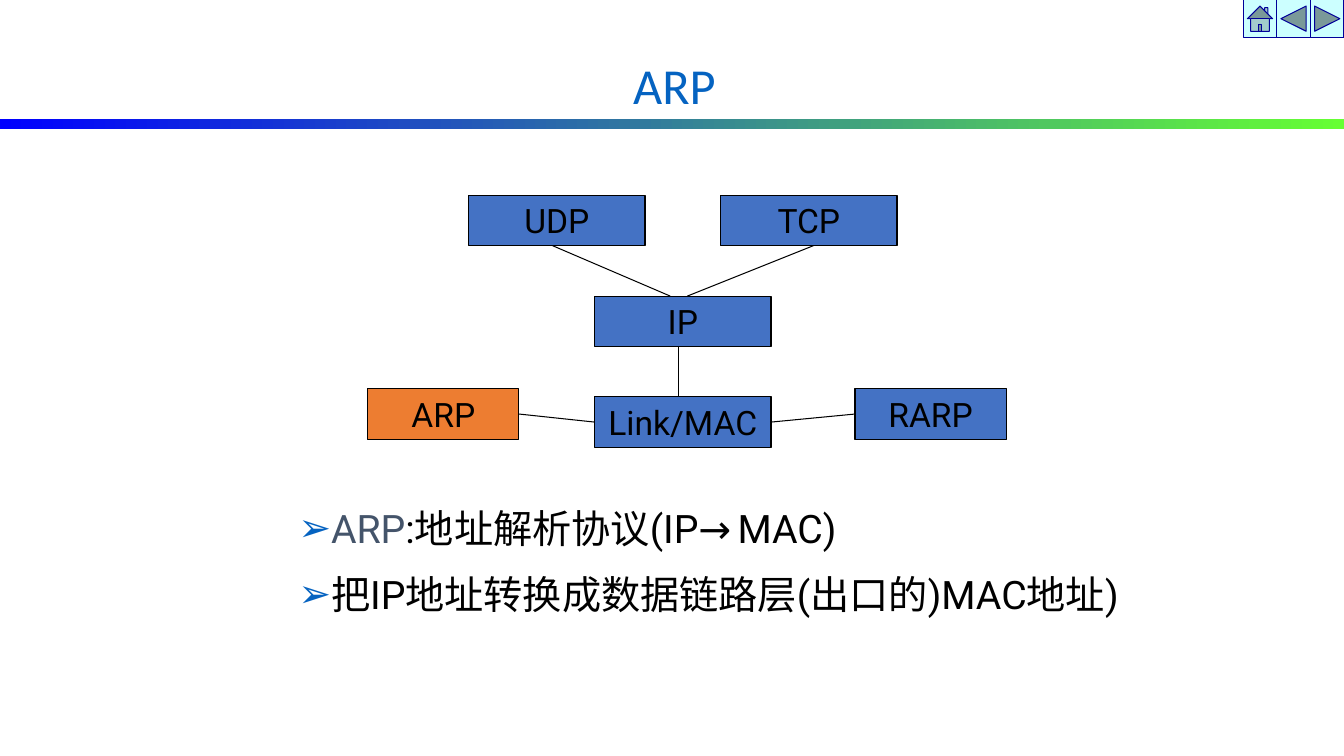
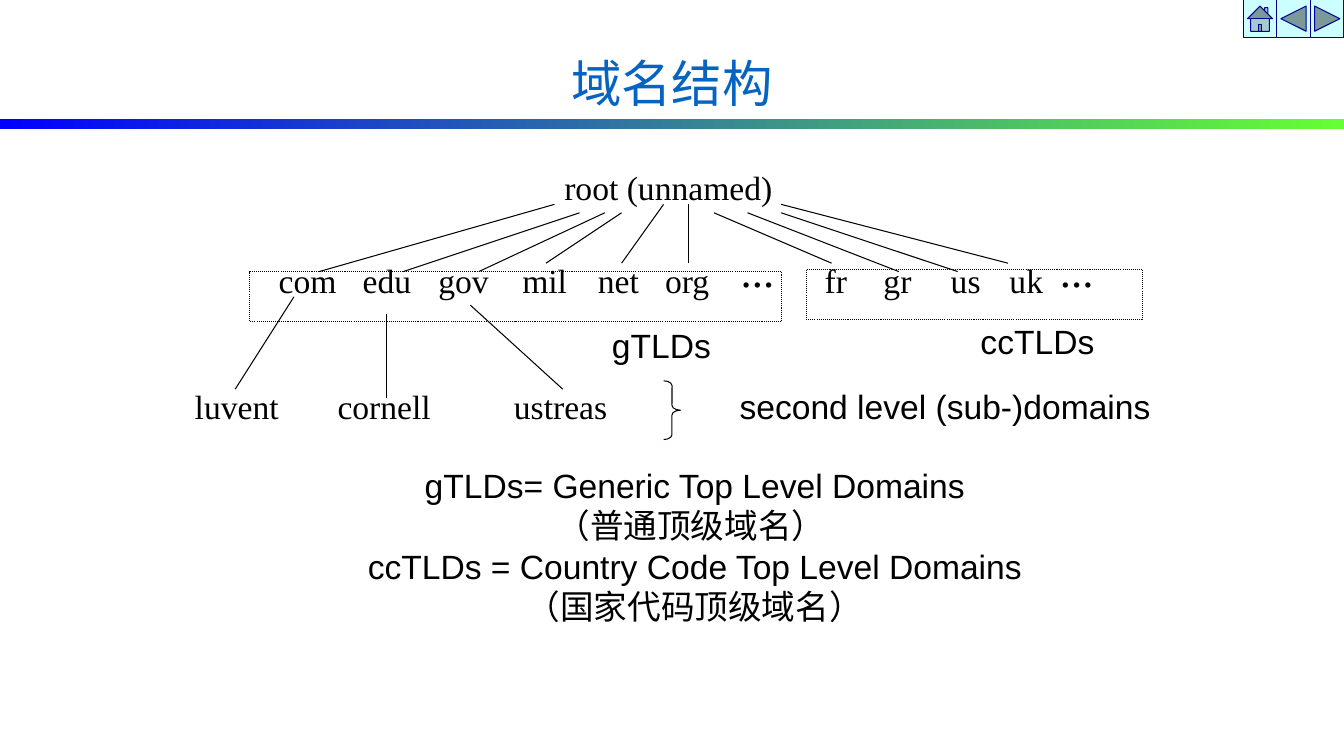
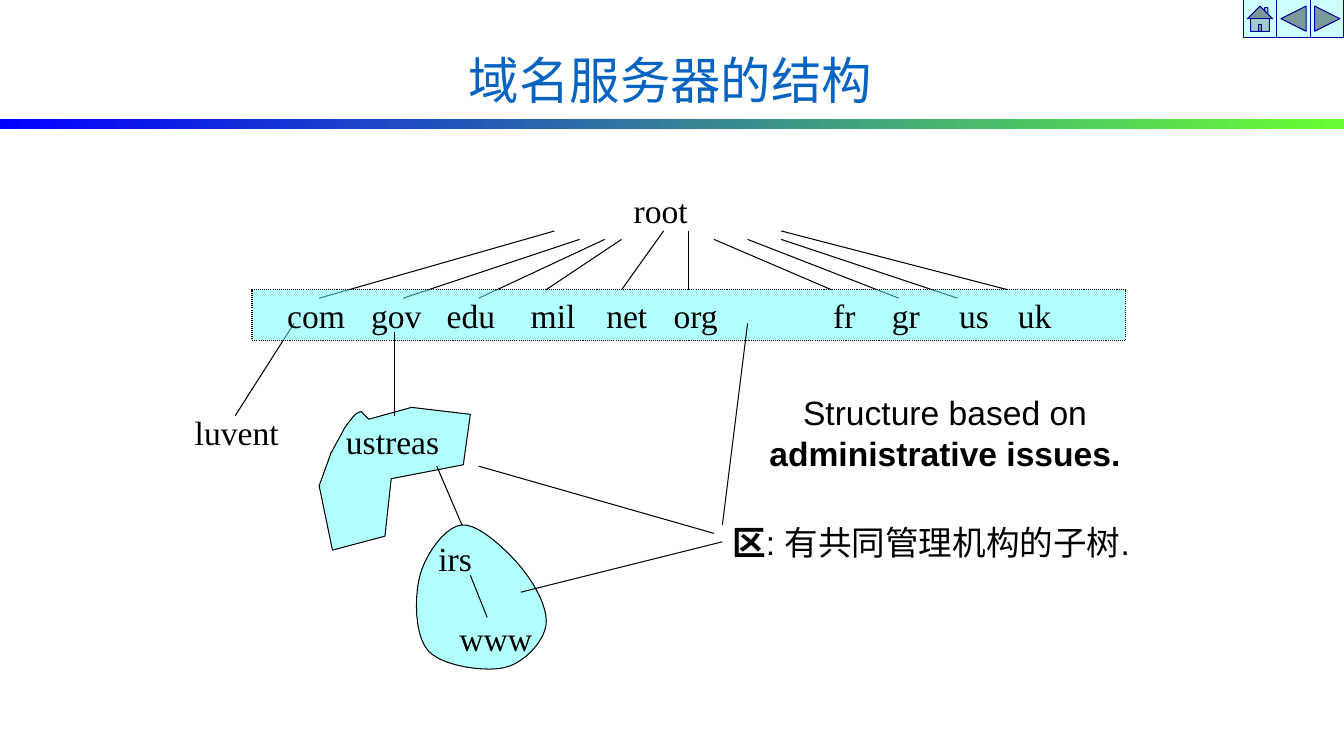
from dataclasses import dataclass
from typing import NamedTuple

from lxml import etree
from pptx import Presentation
from pptx import util as u
from pptx.dml.color import RGBColor
from pptx.enum import dml, shapes, text
from pptx.oxml.ns import qn

BLACK, BLUE, ORANGE, AQUA = "000000", "4472C4", "ED7D31", "66FFFF"
TITLE, SLATE = "0563C1", "44546A"
SERIF, SANS, ROBOTO = "Times New Roman", "Arial", "Roboto"
SHAPE, ALIGN, ANCHOR = shapes.MSO_SHAPE, text.PP_ALIGN, text.MSO_ANCHOR


class Run(NamedTuple):
    text: str
    color: str = BLACK
    bold: bool = False


class Line(NamedTuple):
    x1: float
    y1: float
    x2: float
    y2: float


@dataclass
class Box:
    x: float
    y: float
    w: float
    h: float = 36


@dataclass
class Style:
    font: str = SERIF
    size: float = 24
    align: ALIGN = ALIGN.LEFT
    anchor: ANCHOR = ANCHOR.TOP
    wrap: bool = False
    spacing: float = 1
    before: float = 0
    bullet: str = ""


LABEL = Style()
CAPTION = Style(SANS, align=ALIGN.CENTER, anchor=ANCHOR.MIDDLE)
NODE = Style(ROBOTO, align=ALIGN.CENTER, anchor=ANCHOR.MIDDLE)
HEADING = Style("Calibri", 36, ALIGN.CENTER, wrap=True, spacing=0.9)
BULLETS = Style(ROBOTO, 28, wrap=True, before=14, bullet="➢")
DOTS = Style(size=32)

TLD_WIDTHS = {"com": 59, "edu": 53, "gov": 54, "mil": 50, "net": 48,
              "org": 51, "fr": 34, "gr": 39, "us": 40, "uk": 42}
TLD_SLOTS = [0, 60, 114, 174, 228, 276, 390, 432, 480, 522]
RAYS = [Line(396, 0, 228, 48), Line(414, 6, 288, 48), Line(432, 6, 342, 48),
        Line(444, 6, 390, 42), Line(474, 0, 444, 42), Line(492, 0, 492, 42),
        Line(510, 6, 594, 42), Line(534, 6, 642, 48), Line(558, 6, 684, 48),
        Line(558, 0, 720, 42)]


def rgb(color: str) -> RGBColor:
    return RGBColor.from_string(color)


def paint(sp, fill: str = "", line: str = BLACK, alpha: int = 100, dotted: bool = False) -> None:
    sp.shadow.inherit = False
    if fill:
        sp.fill.solid()
        sp.fill.fore_color.rgb = rgb(fill)
        if alpha < 100:
            clr = sp.fill._xPr.find(".//" + qn("a:srgbClr"))
            etree.SubElement(clr, qn("a:alpha"), val=str(alpha * 1000))
    else:
        sp.fill.background()
    sp.line.color.rgb = rgb(line)
    sp.line.width = u.Pt(0.75)
    if dotted:
        sp.line.dash_style = dml.MSO_LINE.ROUND_DOT


def add_bullet(p, char: str) -> None:
    pPr = p._p.get_or_add_pPr()
    pPr.set("marL", str(u.Pt(23)))
    pPr.set("indent", str(-u.Pt(23)))
    clr = etree.SubElement(pPr, qn("a:buClr"))
    etree.SubElement(clr, qn("a:srgbClr"), val=TITLE)
    etree.SubElement(pPr, qn("a:buFont"), typeface=SANS)
    etree.SubElement(pPr, qn("a:buChar"), char=char)


def write(sp, paragraphs: list[list[Run]], style: Style) -> None:
    tf = sp.text_frame
    tf.word_wrap = style.wrap
    tf.vertical_anchor = style.anchor
    for i, runs in enumerate(paragraphs):
        p = tf.add_paragraph() if i else tf.paragraphs[0]
        if style.bullet:
            add_bullet(p, style.bullet)
        p.alignment = style.align
        p.line_spacing = style.spacing
        if i and style.before:
            p.space_before = u.Pt(style.before)
        for run in runs:
            r = p.add_run()
            r.text = run.text
            r.font.name = style.font
            r.font.size = u.Pt(style.size)
            r.font.bold = run.bold
            r.font.color.rgb = rgb(run.color)


def add_text(s, box: Box, paragraphs: list[list[Run]], style: Style = LABEL) -> None:
    sp = s.shapes.add_textbox(u.Pt(box.x), u.Pt(box.y), u.Pt(box.w), u.Pt(box.h))
    write(sp, paragraphs, style)


def add_label(s, box: Box, label: str, style: Style = LABEL) -> None:
    add_text(s, box, [[Run(label)]], style)


def add_shape(s, kind: SHAPE, box: Box):
    return s.shapes.add_shape(kind, u.Pt(box.x), u.Pt(box.y), u.Pt(box.w), u.Pt(box.h))


def add_lines(s, lines: list[Line], dy: float = 0) -> None:
    for ln in lines:
        c = s.shapes.add_connector(shapes.MSO_CONNECTOR.STRAIGHT, u.Pt(ln.x1), u.Pt(ln.y1 + dy),
                                   u.Pt(ln.x2), u.Pt(ln.y2 + dy))
        c.line.color.rgb = rgb(BLACK)
        c.line.width = u.Pt(0.75)
        etree.SubElement(c._element.spPr, qn("a:effectLst"))


def add_zone(s, start: tuple, segments: list[tuple]) -> None:
    points = [start]
    for seg in segments:
        if len(seg) == 2:
            points.append(seg)
            continue
        x0, y0 = points[-1]
        x1, y1, x2, y2, x3, y3 = seg
        for t in (k / 10 for k in range(1, 11)):
            a, b, c, d = (1 - t) ** 3, 3 * t * (1 - t) ** 2, 3 * t * t * (1 - t), t ** 3
            points.append((a * x0 + b * x1 + c * x2 + d * x3,
                           a * y0 + b * y1 + c * y2 + d * y3))
    pts = [(u.Pt(x), u.Pt(y)) for x, y in points]
    fb = s.shapes.build_freeform(*pts[0], scale=1.0)
    fb.add_line_segments(pts[1:], close=True)
    paint(fb.convert_to_shape(), AQUA, alpha=50)


def add_tlds(s, names: list[str], x: float, y: float) -> None:
    for name, slot in zip(names, TLD_SLOTS):
        add_label(s, Box(x + slot, y, TLD_WIDTHS[name]), name)


def new_slide(prs, title: str, x: float, y: float):
    s = prs.slides.add_slide(prs.slide_layouts[6])
    buttons = [SHAPE.ACTION_BUTTON_HOME, SHAPE.ACTION_BUTTON_BACK_OR_PREVIOUS,
               SHAPE.ACTION_BUTTON_FORWARD_OR_NEXT]
    for i, kind in enumerate(buttons):
        paint(add_shape(s, kind, Box(888 + 24 * i, 0, 24, 26.75)), "CCFFFF", "000099")
    band = add_shape(s, SHAPE.RECTANGLE, Box(0, 85, 960, 7))
    band.shadow.inherit = False
    band.line.fill.background()
    band.fill.gradient()
    band.fill.gradient_angle = 0
    for stop, color in zip(band.fill.gradient_stops, ("0000FF", "66FF33")):
        stop.color.rgb = rgb(color)
    add_text(s, Box(x, y, 612, 90), [[Run(title, TITLE)]], HEADING)
    return s


def arp_slide(prs) -> None:
    s = new_slide(prs, "ARP", 175.75, 40)
    nodes = [("Link/MAC", Box(424.75, 283.5, 126), BLUE), ("IP", Box(424.75, 211.5, 126), BLUE),
             ("TCP", Box(514.75, 139.5, 126), BLUE), ("UDP", Box(334.75, 139.5, 126), BLUE),
             ("ARP", Box(262.75, 277.75, 108), ORANGE), ("RARP", Box(610.75, 277.75, 108), BLUE)]
    for name, box, color in nodes:
        sp = add_shape(s, SHAPE.RECTANGLE, box)
        paint(sp, color)
        write(sp, [[Run(name)]], NODE)
    add_lines(s, [Line(394.75, 175.5, 478.75, 211.5), Line(581, 175.5, 491, 211.5),
                  Line(484.75, 247.5, 484.75, 283.5), Line(370.75, 295.75, 424.75, 301.5),
                  Line(550.75, 301.5, 610.75, 295.75)])
    add_text(s, Box(206, 356.5, 605, 92),
             [[Run("ARP", SLATE), Run(":地址解析协议(IP→MAC)")],
              [Run("把IP地址转换成数据链路层(出口的)MAC地址)")]], BULLETS)


def domain_slide(prs) -> None:
    s = new_slide(prs, "域名结构", 174, 38.5)
    add_label(s, Box(396, 116, 167), "root (unnamed)")
    add_lines(s, RAYS, 146)
    for box in (Box(178.5, 194, 379.5), Box(576, 192.25, 240)):
        paint(add_shape(s, SHAPE.RECTANGLE, box), dotted=True)
    add_tlds(s, ["com", "edu", "gov", "mil", "net", "org", "fr", "gr", "us", "uk"], 192, 182)
    for x in (522, 750):
        add_label(s, Box(x, 170, 46, 45), "...", DOTS)
    for name, x, w in (("luvent", 132, 80), ("cornell", 234, 85), ("ustreas", 360, 85)):
        add_label(s, Box(x, 272, w), name)
    add_lines(s, [Line(210, 212, 168, 278), Line(276, 224, 276, 284), Line(336, 218, 402, 278)])
    brace = add_shape(s, SHAPE.RIGHT_BRACE, Box(474, 272, 12, 42))
    brace.adjustments[0] = 0.29
    paint(brace)
    for caption, x, y, w in (("gTLDs", 397.5, 228.5, 150), ("ccTLDs", 666, 225.5, 150),
                             ("second level (sub-)domains", 515, 272, 320)):
        add_label(s, Box(x, y, w), caption, CAPTION)
    legend = ["gTLDs= Generic Top Level Domains", "（普通顶级域名） ",
              "ccTLDs = Country Code Top Level Domains", "（国家代码顶级域名）"]
    add_text(s, Box(190.25, 366.25, 612, 47), [[Run(row)] for row in legend], CAPTION)


def server_slide(prs) -> None:
    s = new_slide(prs, "域名服务器的结构", 173, 36.75)
    add_label(s, Box(445.5, 132, 63), "root")
    add_lines(s, RAYS, 165)
    add_lines(s, [Line(210, 231, 168, 297)])
    paint(add_shape(s, SHAPE.RECTANGLE, Box(180, 207, 624)), AQUA, alpha=50, dotted=True)
    add_tlds(s, ["com", "gov", "edu", "mil", "net", "org", "fr", "gr", "us", "uk"], 198, 207)
    add_zone(s, (258, 294), [
        (253, 295, 251, 300, 248, 303), (246, 307, 248, 302, 245, 308),
        (243, 312, 240, 317, 238, 321), (236, 325, 236, 323, 236, 325),
        (228, 347), (237.5, 393), (275, 383), (279.5, 342), (331, 332),
        (336, 296), (294, 291), (263.5, 299.5)])
    add_zone(s, (330, 375), [
        (318, 376, 304, 396, 300, 411), (296, 426, 296, 454, 306, 465),
        (316, 476, 346, 480, 360, 477), (374, 474, 388, 459, 390, 447),
        (392, 435, 382, 417, 372, 405), (362, 393, 342, 374, 330, 375)])
    for name, x, y, w in (("luvent", 132, 291, 80), ("ustreas", 240, 297, 85),
                          ("irs", 306, 381, 44), ("www", 321, 438, 76)):
        add_label(s, Box(x, y, w), name)
    add_lines(s, [Line(282, 237, 282, 297), Line(312, 333, 330, 375), Line(336, 411, 348, 441),
                  Line(516, 387, 372, 423), Line(516, 375, 534, 231), Line(510, 381, 342, 333)])
    add_text(s, Box(515, 291, 320), [[Run("Structure based on")],
                                     [Run("administrative issues.", bold=True)]], CAPTION)
    add_text(s, Box(516, 369, 299), [[Run("区", bold=True), Run(": 有共同管理机构的子树.")]],
             Style(SANS, wrap=True))


def main() -> None:
    prs = Presentation()
    prs.slide_width, prs.slide_height = u.Pt(960), u.Pt(540)
    for build in (arp_slide, domain_slide, server_slide):
        build(prs)
    prs.save("out.pptx")


if __name__ == "__main__":
    main()
